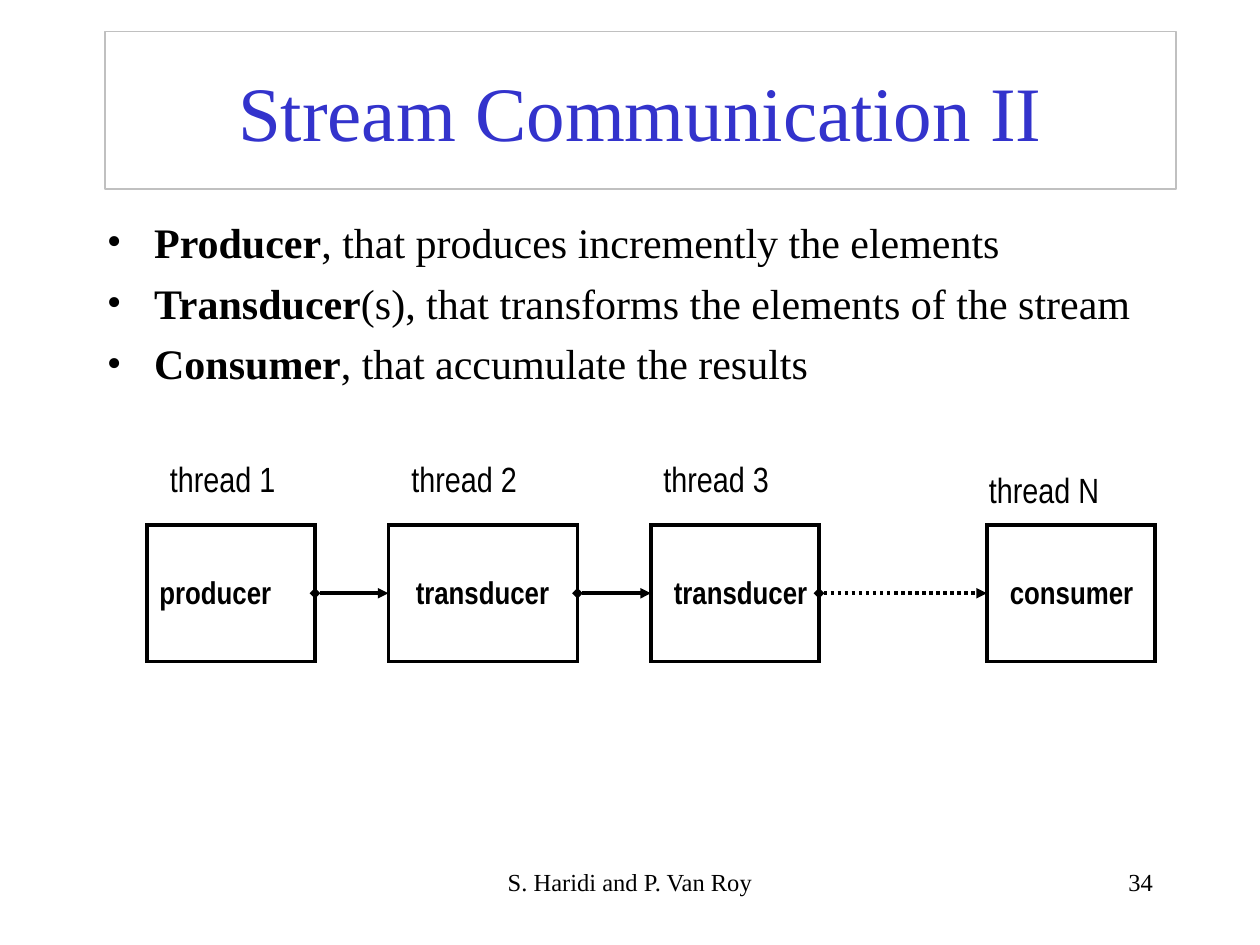
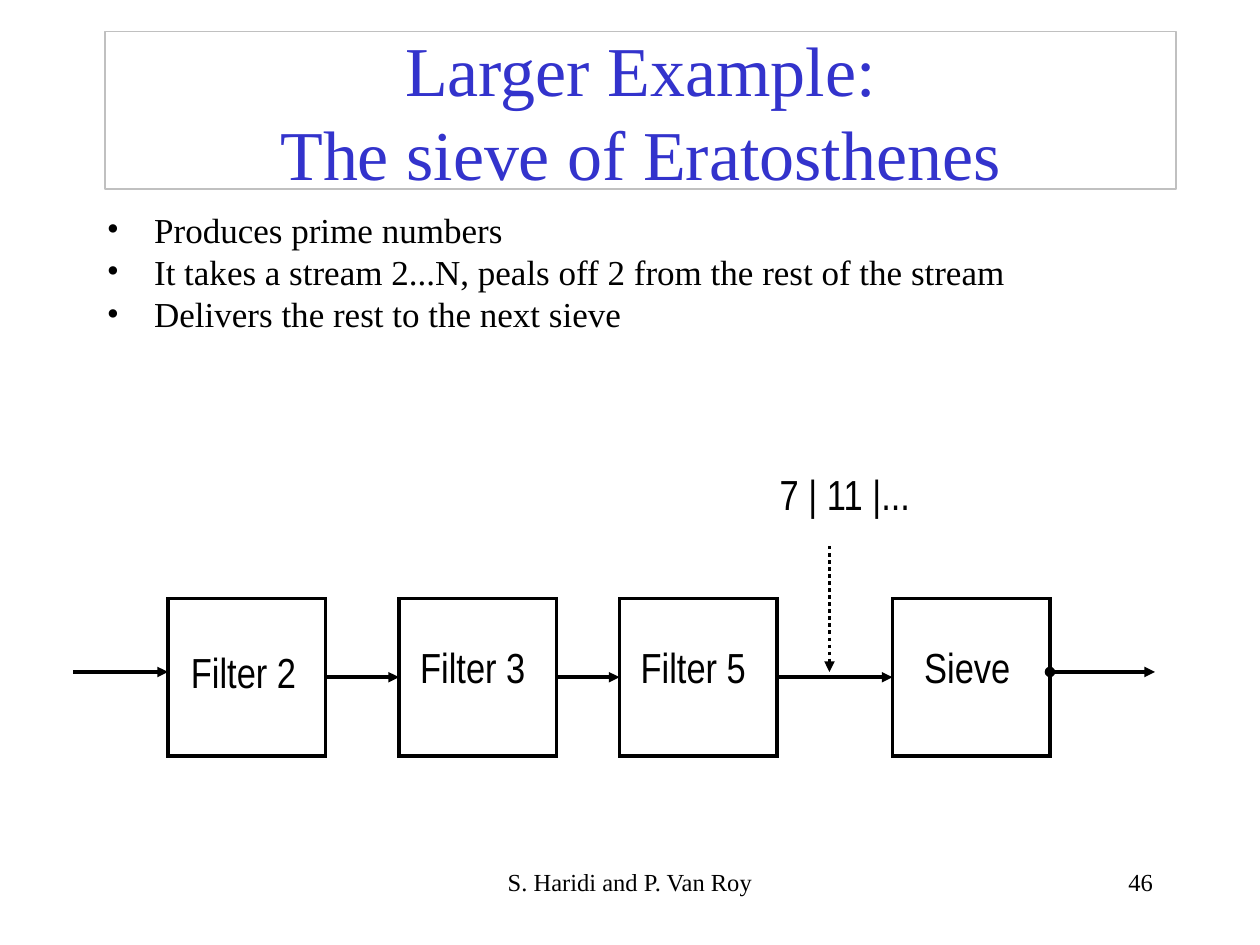
from itertools import pairwise

from lxml.etree import SubElement
from pptx import Presentation
from pptx.dml.color import RGBColor
from pptx.enum.dml import MSO_LINE
from pptx.enum.shapes import MSO_CONNECTOR, MSO_SHAPE
from pptx.enum.text import MSO_ANCHOR, MSO_AUTO_SIZE, PP_ALIGN
from pptx.oxml.ns import qn
from pptx.util import Pt

BLACK, BLUE, GREY = "000000", "3333CC", "C0C0C0"
SERIF, NARROW = "Times New Roman", "Arial Narrow"
CREDIT = "S. Haridi and P. Van Roy"
LEFT, RIGHT = 1, 3


def color(code):
    return RGBColor.from_string(code)


def assign(target, values):
    for name, value in values.items():
        setattr(target, name, value)


def place(left, top, width, height):
    sides = ("left", "top", "width", "height")
    return {side: Pt(value) for side, value in zip(sides, (left, top, width, height))}


class Deck:
    """Holds the shared style and the slide being drawn."""

    def __init__(self):
        self.file = Presentation()
        assign(self.file, {"slide_width": Pt(720), "slide_height": Pt(540)})

    def start(self, title, size, number):
        """Add a slide with its title and footer."""
        self.slide = self.file.slides.add_slide(self.file.slide_layouts[5])
        self.shapes = self.slide.shapes
        head = self.shapes.title
        assign(head, place(60, 18, 612, 90))
        self.stroke(head.line, GREY, 0.75)
        assign(head.text_frame, {"auto_size": MSO_AUTO_SIZE.NONE,
                                 "vertical_anchor": MSO_ANCHOR.MIDDLE})
        para = head.text_frame.paragraphs[0]
        assign(para, {"text": title, "alignment": PP_ALIGN.CENTER})
        for run in para.runs:
            self.style(run.font, size, SERIF, BLUE)
        self.text(CREDIT, (246, 492, 228, 36), 14, SERIF, align=PP_ALIGN.CENTER)
        self.text(str(number), (516, 492, 150, 36), 14, SERIF, align=PP_ALIGN.RIGHT)

    def stroke(self, line, code, width):
        line.color.rgb = color(code)
        line.width = Pt(width)

    def style(self, font, size, name, code=BLACK, bold=False):
        assign(font, {"size": Pt(size), "name": name, "bold": bold})
        font.color.rgb = color(code)

    def frame(self, area):
        frame = self.shapes.add_textbox(*place(*area).values()).text_frame
        assign(frame, {"word_wrap": True, "auto_size": MSO_AUTO_SIZE.NONE})
        return frame

    def text(self, words, area, size, name=NARROW, bold=False, align=PP_ALIGN.LEFT):
        para = self.frame(area).paragraphs[0]
        para.alignment = align
        run = para.add_run()
        run.text = words
        self.style(run.font, size, name, bold=bold)

    def bullets(self, items, height, size, gap, pitch=1.0):
        """Each item is a pair: a bold start and the plain rest."""
        frame = self.frame((54, 120, 612, height))
        for index, item in enumerate(items):
            para = frame.add_paragraph() if index else frame.paragraphs[0]
            assign(para, {"space_before": Pt(gap), "line_spacing": pitch})
            props = para._p.get_or_add_pPr()
            props.set("marL", str(Pt(27)))
            props.set("indent", str(-Pt(27)))
            SubElement(props, qn("a:buFont"), typeface=SERIF)
            SubElement(props, qn("a:buChar"), char="•")
            for words, bold in zip(item, (True, False)):
                if words:
                    run = para.add_run()
                    run.text = words
                    self.style(run.font, size, SERIF, bold=bold)

    def box(self, *area):
        box = self.shapes.add_shape(MSO_SHAPE.RECTANGLE, *place(*area).values())
        box.shadow.inherit = False
        box.fill.background()
        self.stroke(box.line, BLACK, 2)
        SubElement(box._element.spPr.find(qn("a:ln")), qn("a:miter"), lim="800000")
        return box

    def arrow(self, start=(0, 0), end=(0, 0), tail=None, dash=None):
        ends = [Pt(value) for value in (*start, *end)]
        arrow = self.shapes.add_connector(MSO_CONNECTOR.STRAIGHT, *ends)
        self.stroke(arrow.line, BLACK, 2)
        if dash:
            arrow.line.dash_style = dash
        props = arrow._element.spPr
        line = props.find(qn("a:ln"))
        if tail:
            SubElement(line, qn("a:headEnd"), type=tail)
        SubElement(line, qn("a:tailEnd"), type="triangle")
        SubElement(props, qn("a:effectLst"))
        return arrow

    def link(self, first, second, **look):
        """Join two neighbouring boxes with an arrow."""
        arrow = self.arrow(**look)
        arrow.begin_connect(first, RIGHT)
        arrow.end_connect(second, LEFT)


def stream(deck):
    deck.start("Stream Communication II", 44, 34)
    deck.bullets([("Producer", ", that produces incremently the elements"),
                  ("Transducer", "(s), that transforms the elements of the stream"),
                  ("Consumer", ", that accumulate the results")], 114, 24, 6)
    # role, box left, box width, role left, thread, its left and top
    stages = [("producer", 84, 96, 84, "thread 1", 90, 258),
              ("transducer", 222, 108, 230.5, "thread 2", 228, 258),
              ("transducer", 372, 96, 378, "thread 3", 372, 258),
              ("consumer", 564, 96, 570, "thread N", 558, 264)]
    boxes = []
    for role, left, width, inner, thread, over, top in stages:
        boxes.append(deck.box(left, 300, width, 78))
        deck.text(role, (inner, 324, 96, 29), 18, bold=True)
        deck.text(thread, (over, top, 84, 31.5), 20)
    for first, second in pairwise(boxes):
        dash = MSO_LINE.ROUND_DOT if second is boxes[-1] else None
        deck.link(first, second, tail="diamond", dash=dash)


def sieve(deck):
    deck.start("Larger Example:\nThe sieve of Eratosthenes", 40, 46)
    deck.bullets([("", "Produces prime numbers"),
                  ("", "It takes a stream 2...N, peals off 2 from the rest of the stream"),
                  ("", "Delivers the rest to the next sieve")], 78, 20, 5, 0.8)
    # name, box left, name left and top
    stages = [("Filter 2", 96, 102, 366), ("Filter 3", 228, 233, 363),
              ("Filter 5", 354, 359, 363), ("Sieve", 510, 521, 363)]
    boxes = []
    for name, left, inner, top in stages:
        boxes.append(deck.box(left, 342, 90, 90))
        deck.text(name, (inner, top, 84, 36), 24)
    for first, second in pairwise(boxes):
        deck.link(first, second)
    deck.arrow((42, 384), (96, 384))
    deck.arrow((600, 384), (660, 384), tail="oval")
    deck.text("7 | 11 |...", (438.5, 264, 102, 36), 24)
    deck.arrow((474, 312), (474, 384), dash=MSO_LINE.ROUND_DOT)


def main():
    deck = Deck()
    stream(deck)
    sieve(deck)
    deck.file.save("out.pptx")


if __name__ == "__main__":
    main()
